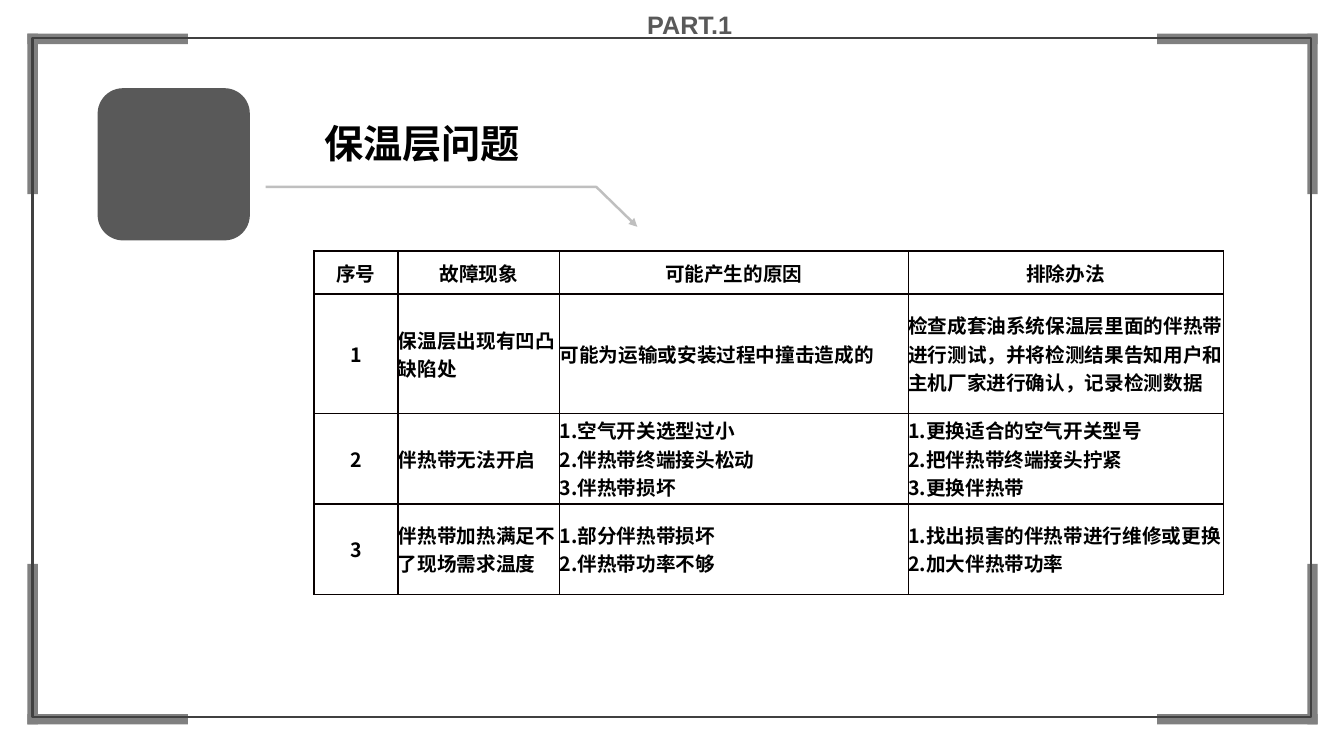
"""Build the fault table slide on insulation layer problems."""
from dataclasses import dataclass
from itertools import product

from lxml import etree
from pptx import Presentation
from pptx import util as u
from pptx.dml.color import RGBColor
from pptx.enum import shapes, text
from pptx.oxml import ns

SCALE = 9525
BLACK = RGBColor(0x00, 0x00, 0x00)
RULE = RGBColor(0x08, 0x00, 0x00)
DARK = RGBColor(0x40, 0x40, 0x40)
SLATE = RGBColor(0x59, 0x59, 0x59)
GREY = RGBColor(0x80, 0x80, 0x80)
PALE = RGBColor(0xBF, 0xBF, 0xBF)
LATIN, HAN = "Arial", "Noto Sans CJK SC"
LEFT, MID = text.PP_ALIGN.LEFT, text.PP_ALIGN.CENTER

COLS = (80, 154, 332, 300)
ROWS = (41, 114, 86, 86)
FAULTS = (
    ("序号", "故障现象", "可能产生的原因", "排除办法"),
    ("1", "保温层出现有凹凸缺陷处", "可能为运输或安装过程中撞击造成的",
     "检查成套油系统保温层里面的伴热带进行测试，并将检测结果告知用户和主机厂家进行确认，记录检测数据"),
    ("2", "伴热带无法开启",
     "1.空气开关选型过小\n2.伴热带终端接头松动\n3.伴热带损坏",
     "1.更换适合的空气开关型号\n2.把伴热带终端接头拧紧\n3.更换伴热带"),
    ("3", "伴热带加热满足不了现场需求温度",
     "1.部分伴热带损坏\n2.伴热带功率不够",
     "1.找出损害的伴热带进行维修或更换\n2.加大伴热带功率"),
)


@dataclass(frozen=True)
class Box:
    """A rectangle in px."""
    left: int
    top: int
    wide: int
    high: int

    def emu(self) -> tuple[int, ...]:
        """Return the four lengths in EMU."""
        return tuple(v * SCALE for v in (self.left, self.top, self.wide, self.high))


BRACE = Box(26, 32, 1229, 658)
LONG, THICK = 153, 10


def sub(node, tag: str, **attrs: str):
    """Append an element and return it."""
    return etree.SubElement(node, ns.qn(tag), attrs)


def write(frame, words: str, *, size: int, font: str, color: RGBColor = BLACK,
          align=LEFT) -> None:
    """Put bold text in a frame, one paragraph per line."""
    frame.text = words
    for para in frame.paragraphs:
        para.alignment = align
        for run in para.runs:
            run.font.size, run.font.bold = u.Pt(size), True
            run.font.name = font
            run.font.color.rgb = color
            sub(run.font._element, "a:ea", typeface=HAN)


def block(slide, box: Box, kind=shapes.MSO_SHAPE.RECTANGLE, *,
          fill: RGBColor | None = None, line: RGBColor | None = None) -> None:
    """Draw a filled or outlined preset shape."""
    shape = slide.shapes.add_shape(kind, *box.emu())
    shape.shadow.inherit = False
    if fill is None:
        shape.fill.background()
    else:
        shape.fill.solid()
        shape.fill.fore_color.rgb = fill
    if line is None:
        shape.line.fill.background()
    else:
        shape.line.color.rgb, shape.line.width = line, u.Pt(1.5)


def corners(slide) -> None:
    """Draw two bars in each corner of the frame."""
    for (wide, high), right, low in product(((LONG, THICK), (THICK, LONG)), (0, 1), (0, 1)):
        left = BRACE.left + right * (BRACE.wide - wide)
        top = BRACE.top + low * (BRACE.high - high)
        block(slide, Box(left, top, wide, high), fill=GREY)


def arrow(slide) -> None:
    """Draw the bent arrow under the title."""
    pen = slide.shapes.build_freeform(607, 216, SCALE)
    pen.add_line_segments([(568, 178), (253, 178)], close=False)
    shape = pen.convert_to_shape()
    shape.shadow.inherit = False
    shape.fill.background()
    shape.line.color.rgb, shape.line.width = PALE, u.Pt(1.75)
    sub(shape.line._get_or_add_ln(), "a:headEnd", type="triangle")


def edge(cell) -> None:
    """Rule all four sides of a cell."""
    props = cell._tc.get_or_add_tcPr()
    for side in "LRTB":
        line = sub(props, f"a:ln{side}", w=str(u.Pt(1)))
        sub(sub(line, "a:solidFill"), "a:srgbClr", val=str(RULE))


def grid(slide, box: Box) -> None:
    """Add the table of faults."""
    table = slide.shapes.add_table(len(ROWS), len(COLS), *box.emu()).table
    table.first_row = table.horz_banding = False
    for col, wide in zip(table.columns, COLS):
        col.width = wide * SCALE
    for row, high in zip(table.rows, ROWS):
        row.height = high * SCALE
    for r, c in product(range(len(ROWS)), range(len(COLS))):
        cell = table.cell(r, c)
        edge(cell)
        cell.fill.background()
        cell.margin_left = cell.margin_right = cell.margin_top = cell.margin_bottom = 0
        cell.vertical_anchor = text.MSO_ANCHOR.MIDDLE
        write(cell.text_frame, FAULTS[r][c], size=14, font=HAN,
              align=LEFT if r and c else MID)


def label(shape, box: Box, words: str, **form) -> None:
    """Place a text shape that grows with its words."""
    shape.left, shape.top, shape.width, shape.height = box.emu()
    frame = shape.text_frame
    frame.word_wrap = True
    frame.auto_size = text.MSO_AUTO_SIZE.SHAPE_TO_FIT_TEXT
    frame.vertical_anchor = text.MSO_ANCHOR.TOP
    write(frame, words, font=LATIN, **form)


def main() -> None:
    """Build and save the slide."""
    deck = Presentation()
    deck.slide_width, deck.slide_height = 1280 * SCALE, 720 * SCALE
    slide = deck.slides.add_slide(deck.slide_layouts[5])
    corners(slide)
    block(slide, Box(31, 36, 1218, 647), line=DARK)
    part = Box(607, 4, 192, 38)
    label(slide.shapes.add_textbox(*part.emu()), part, "PART.1", size=18, color=SLATE)
    block(slide, Box(93, 84, 145, 145), shapes.MSO_SHAPE.ROUNDED_RECTANGLE, fill=SLATE)
    arrow(slide)
    grid(slide, Box(299, 239, sum(COLS), sum(ROWS)))
    label(slide.shapes.title, Box(299, 109, 256, 58), "保温层问题", size=28)
    deck.save("out.pptx")


if __name__ == "__main__":
    main()
